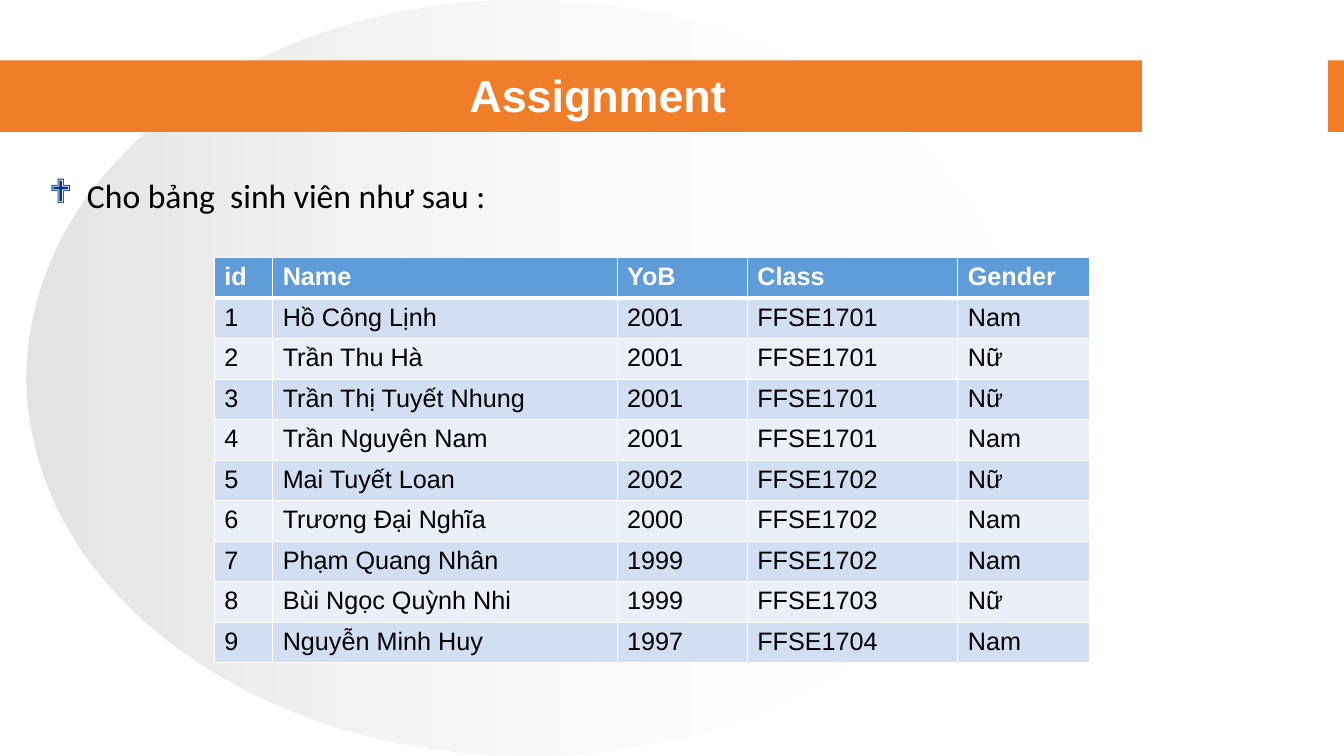
from lxml import etree
from pptx import Presentation
from pptx import util as u
from pptx.dml.color import RGBColor
from pptx.enum import shapes, text
from pptx.oxml import parse_xml
from pptx.oxml.ns import nsdecls, qn

Pt = u.Pt
WHITE, BLACK, ORANGE = "FFFFFF", "000000", "F07D27"
HEADER_BLUE, BAND_DARK, BAND_LIGHT = "5E9CDA", "D2DEF1", "EAEFF8"


def rgb(value):
    return RGBColor.from_string(value)


def style(paragraph, font, size, color, bold=False):
    """Format every run of the paragraph."""
    for run in paragraph.runs:
        run.font.name, run.font.size, run.font.bold = font, Pt(size), bold
        run.font.color.rgb = rgb(color)


deck = Presentation()
deck.slide_width, deck.slide_height = Pt(960), Pt(540)
slide = deck.slides.add_slide(deck.slide_layouts[6])

# Background disc fading from grey to clear
disc = slide.shapes.add_shape(
    shapes.MSO_SHAPE.OVAL, Pt(18.75), Pt(0), Pt(714), Pt(540))
disc.shadow.inherit = False
disc.line.fill.background()
disc.fill.gradient()
disc.fill.gradient_angle = 0
for stop, color, position, opacity in zip(
        disc.fill.gradient_stops, ("C0C0C0", WHITE), (0, 1), (44000, 0)):
    stop.color.rgb = rgb(color)
    stop.position = position
for color_node, opacity in zip(
        disc._element.spPr.iter(qn("a:srgbClr")), (44000, 0)):
    etree.SubElement(color_node, qn("a:alpha")).set("val", str(opacity))

# Title band with a white gap near its right end
for left, width, color in ((0, 960, ORANGE), (816, 132, WHITE)):
    band = slide.shapes.add_shape(
        shapes.MSO_SHAPE.RECTANGLE, Pt(left), Pt(43.2), Pt(width), Pt(51))
    band.shadow.inherit = False
    band.fill.solid()
    band.fill.fore_color.rgb = rgb(color)
    if color == WHITE:
        band.line.color.rgb = rgb(WHITE)
        band.line.width = Pt(0.75)
    else:
        band.line.fill.background()

title = slide.shapes.add_textbox(Pt(48), Pt(48.5), Pt(758), Pt(38)).text_frame
title.word_wrap = True
title.vertical_anchor = text.MSO_ANCHOR.MIDDLE
title.text = "Assignment"
title.paragraphs[0].alignment = text.PP_ALIGN.CENTER
style(title.paragraphs[0], "Arial", 32, WHITE, bold=True)

# Task line
task = slide.shapes.add_textbox(Pt(28), Pt(121.7), Pt(877), Pt(360)).text_frame
task.word_wrap = True
task.text = "Cho bảng  sinh viên như sau :"
task_line = task.paragraphs[0]
task_line.space_before = Pt(1.3)
style(task_line, "Calibri", 24, BLACK)
task_props = task_line._p.get_or_add_pPr()
task_props.set("marL", str(Pt(27)))
task_props.set("indent", str(-Pt(27)))
for bullet_part in (
        '<a:buClr {}><a:srgbClr val="003399"/></a:buClr>',
        '<a:buFont {} typeface="Wingdings"/>',
        '<a:buChar {} char="❖"/>'):
    task_props.append(parse_xml(bullet_part.format(nsdecls("a"))))

# Student table
students = [
    ("id", "Name", "YoB", "Class", "Gender"),
    ("1", "Hồ Công Lịnh", "2001", "FFSE1701", "Nam"),
    ("2", "Trần Thu Hà", "2001", "FFSE1701", "Nữ"),
    ("3", "Trần Thị Tuyết Nhung", "2001", "FFSE1701", "Nữ"),
    ("4", "Trần Nguyên Nam", "2001", "FFSE1701", "Nam"),
    ("5", "Mai Tuyết Loan", "2002", "FFSE1702", "Nữ"),
    ("6", "Trương Đại Nghĩa", "2000", "FFSE1702", "Nam"),
    ("7", "Phạm Quang Nhân", "1999", "FFSE1702", "Nam"),
    ("8", "Bùi Ngọc Quỳnh Nhi", "1999", "FFSE1703", "Nữ"),
    ("9", "Nguyễn Minh Huy", "1997", "FFSE1704", "Nam"),
]
column_widths = (41.8, 246, 93, 150.4, 94.5)
row_height = 28.92
table = slide.shapes.add_table(
    len(students), len(column_widths), Pt(153), Pt(184.2),
    Pt(sum(column_widths)), Pt(row_height * len(students))).table
for column, width in zip(table.columns, column_widths):
    column.width = Pt(width)

for row_index, student in enumerate(students):
    table.rows[row_index].height = Pt(row_height)
    is_header = row_index == 0
    if is_header:
        fill = HEADER_BLUE
    else:
        fill = BAND_DARK if row_index % 2 else BAND_LIGHT
    borders = {"lnL": 1, "lnR": 1, "lnT": 3 if row_index == 1 else 1,
               "lnB": 3 if is_header else 1}
    for column_index, value in enumerate(student):
        cell = table.cell(row_index, column_index)
        cell.text = value
        style(cell.text_frame.paragraphs[0], "Arial", 18,
              WHITE if is_header else BLACK, bold=is_header)
        cell.fill.solid()
        cell.fill.fore_color.rgb = rgb(fill)
        for place, (side, width) in enumerate(borders.items()):
            cell._tc.tcPr.insert(place, parse_xml(
                f'<a:{side} {nsdecls("a")} w="{Pt(width)}"><a:solidFill>'
                f'<a:srgbClr val="{WHITE}"/></a:solidFill></a:{side}>'))

deck.save("out.pptx")
